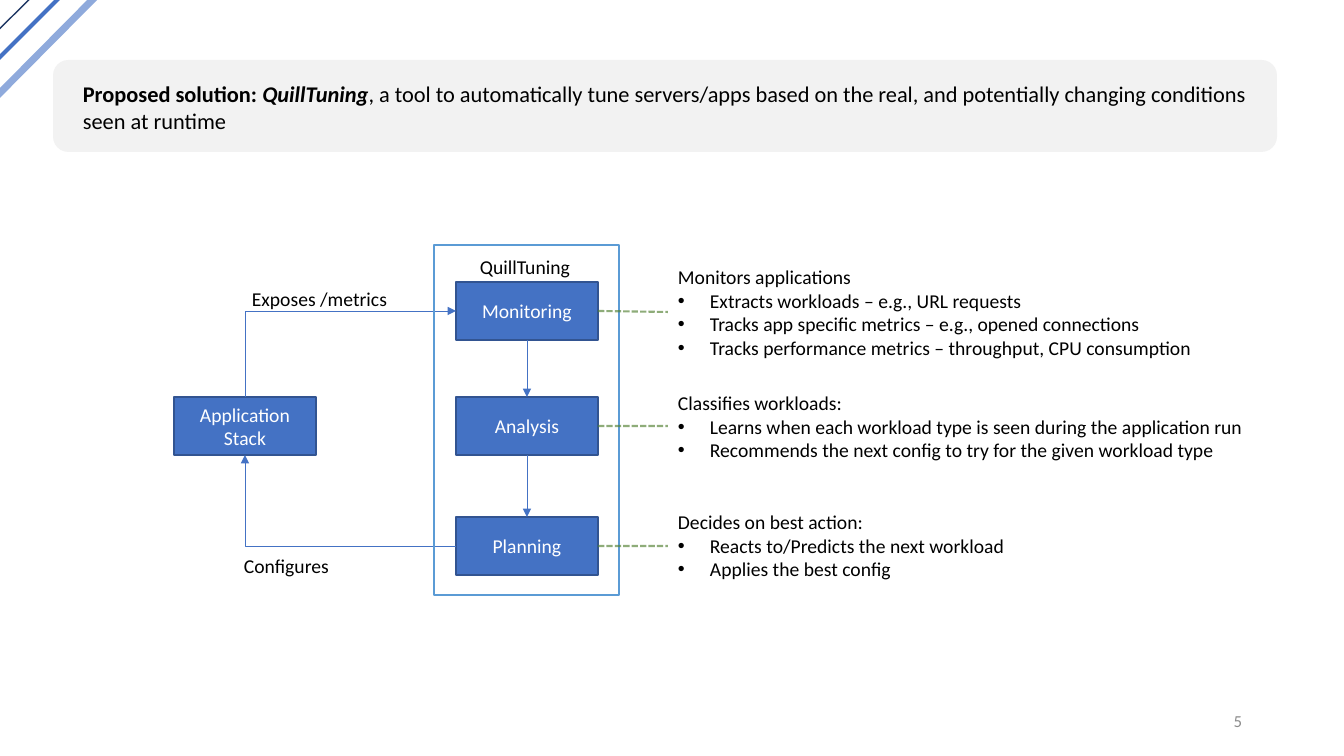
"""Builds the QuillTuning solution slide: a control loop with a note on each stage."""
from lxml import etree
from pptx import Presentation
from pptx import util as u
from pptx.dml.color import RGBColor
from pptx.enum import dml, shapes, text
from pptx.oxml import ns

COLORS = {"navy": "203864", "blue": "4472C4", "pale": "8FAADC", "edge": "325491",
          "frame": "5B9BD5", "panel": "F2F2F2", "green": "548235",
          "black": "000000", "white": "FFFFFF", "gray": "8C8C8C"}
FONT = "Calibri"

STRIPES = [((-25, 53), (52, -23), "navy", 1),
           ((-16, 73), (66, -9), "blue", 3),
           ((-11, 104), (104, -12), "pale", 5)]
TOOL = "QuillTuning"
HEADLINE = [("Proposed solution: ", True, False),
            (TOOL, True, True),
            (", a tool to automatically tune servers/apps based on the real, "
             "and potentially changing conditions seen at runtime", False, False)]
STAGES = [
    ("Monitoring", 282, (668, 260, 573, 105), True,
     ["Monitors applications",
      "Extracts workloads – e.g., URL requests",
      "Tracks app specific metrics – e.g., opened connections",
      "Tracks performance metrics – throughput, CPU consumption"]),
    ("Analysis", 397, (668, 386, 621, 82), True,
     ["Classifies workloads:",
      "Learns when each workload type is seen during the application run",
      "Recommends the next config to try for the given workload type"]),
    ("Planning", 517, (668, 505, 350, 82), False,
     ["Decides on best action:",
      "Reacts to/Predicts the next workload",
      "Applies the best config"]),
]
LABELS = [("Exposes /metrics", (242, 282, 157, 34)),
          (TOOL, (470, 250, 122, 34)),
          ("Configures", (234, 549, 107, 34))]
APP_X, APP_Y, STAGE_X = 174, 397, 456
BOX_W, BOX_H = 142, 58
NOTE_ENDS = [312, 426, 546]
INDENT = 32
BULLET = "•"


def px(n):
    return u.Emu(round(n * 914400 / 100.8))


def rgb(name):
    return RGBColor.from_string(COLORS[name])


def add_block(slide, kind, box, fill=None, line=None):
    sp = slide.shapes.add_shape(kind, *map(px, box))
    sp.shadow.inherit = False
    if fill:
        sp.fill.solid()
        sp.fill.fore_color.rgb = rgb(fill)
    else:
        sp.fill.background()
    if line:
        sp.line.color.rgb = rgb(line)
        sp.line.width = u.Pt(1)
    else:
        sp.line.fill.background()
    return sp


def style(p, size, color, align=text.PP_ALIGN.LEFT):
    p.alignment = align
    p.font.name, p.font.size = FONT, u.Pt(size)
    p.font.color.rgb = rgb(color)


def write(sp, lines, size=14, color="black", align=text.PP_ALIGN.LEFT,
          anchor=text.MSO_ANCHOR.TOP, wrap=True):
    tf = sp.text_frame
    tf.word_wrap, tf.vertical_anchor = wrap, anchor
    tf.text = "\n".join(lines)
    for p in tf.paragraphs:
        style(p, size, color, align)
    return tf


def add_text(slide, box, lines, **options):
    return write(slide.shapes.add_textbox(*map(px, box)), lines, **options)


def add_stage(slide, x, y, lines):
    sp = add_block(slide, shapes.MSO_SHAPE.RECTANGLE, (x, y, BOX_W, BOX_H), "blue", "edge")
    write(sp, lines, color="white", align=text.PP_ALIGN.CENTER, anchor=text.MSO_ANCHOR.MIDDLE)
    return sp


def add_line(slide, start, end, color, width, kind=shapes.MSO_CONNECTOR.STRAIGHT, arrow=False):
    c = slide.shapes.add_connector(kind, *map(px, start + end))
    c.line.color.rgb = rgb(color)
    c.line.width = u.Pt(width)
    if arrow:
        etree.SubElement(c.line._get_or_add_ln(), ns.qn("a:tailEnd"), type="triangle")
    etree.SubElement(c._element.spPr, ns.qn("a:effectLst"))
    return c


def add_elbow(slide, start, end):
    c = add_line(slide, start, end, "blue", 0.5, shapes.MSO_CONNECTOR.ELBOW, arrow=True)
    c._element.spPr.find(ns.qn("a:prstGeom")).set("prst", "bentConnector2")
    return c


def turn_upright(c):
    """Makes the elbow leave its start upwards and then run right."""
    mid_x, mid_y = c.left + c.width // 2, c.top + c.height // 2
    c.width, c.height = c.height, c.width
    c.left, c.top = mid_x - c.width // 2, mid_y - c.height // 2
    xfrm = c._element.spPr.find(ns.qn("a:xfrm"))
    for key, value in (("rot", "5400000"), ("flipH", "1"), ("flipV", "1")):
        xfrm.set(key, value)


def add_bullet(p):
    pPr = p._p.get_or_add_pPr()
    pPr.set("marL", str(px(INDENT)))
    pPr.set("indent", str(-px(INDENT)))
    bullet_font = etree.Element(ns.qn("a:buFont"), typeface="Arial")
    bullet = etree.Element(ns.qn("a:buChar"), char=BULLET)
    pPr.insert(0, bullet_font)
    pPr.insert(1, bullet)


def add_dash(slide, start, end):
    c = add_line(slide, start, end, "green", 1.5)
    c.line.dash_style = dml.MSO_LINE.SQUARE_DOT
    fill = c._element.spPr.find(".//" + ns.qn("a:srgbClr"))
    etree.SubElement(fill, ns.qn("a:alpha"), val="66000")
    c.line._get_or_add_ln().find(ns.qn("a:prstDash")).set("val", "sysDash")
    return c


def main():
    prs = Presentation()
    prs.slide_width, prs.slide_height = px(1344), px(756)
    slide = prs.slides.add_slide(prs.slide_layouts[6])

    for start, end, color, width in STRIPES:
        add_line(slide, start, end, color, width)
    add_text(slide, (950, 701, 302, 40), ["5"], size=12, color="gray",
             align=text.PP_ALIGN.RIGHT, anchor=text.MSO_ANCHOR.MIDDLE)

    add_block(slide, shapes.MSO_SHAPE.ROUNDED_RECTANGLE, (53, 60, 1224, 92), "panel")
    p = add_text(slide, (73, 75, 1205, 64), [""], size=16).paragraphs[0]
    for words, bold, italic in HEADLINE:
        r = p.add_run()
        r.text, r.font.bold, r.font.italic = words, bold, italic

    app = add_stage(slide, APP_X, APP_Y, ["Application", "Stack"])
    stages = [add_stage(slide, STAGE_X, y, [name]) for name, y, *_ in STAGES]

    app_x, stage_x = APP_X + BOX_W // 2, STAGE_X + BOX_W // 2
    middles = [y + BOX_H // 2 for _, y, *_ in STAGES]
    exposes = add_elbow(slide, (app_x, APP_Y), (STAGE_X, middles[0]))
    exposes.begin_connect(app, 0)
    exposes.end_connect(stages[0], 1)
    turn_upright(exposes)
    configures = add_elbow(slide, (STAGE_X, middles[2]), (app_x, APP_Y + BOX_H))
    configures.begin_connect(stages[2], 1)
    configures.end_connect(app, 2)

    for i, (upper, lower) in enumerate(zip(stages, stages[1:])):
        c = add_line(slide, (stage_x, STAGES[i][1] + BOX_H), (stage_x, STAGES[i + 1][1]),
                     "blue", 0.5, arrow=True)
        c.begin_connect(upper, 2)
        c.end_connect(lower, 0)

    add_block(slide, shapes.MSO_SHAPE.RECTANGLE, (434, 245, 185, 350), line="frame")
    for label, box in LABELS:
        add_text(slide, box, [label], wrap=False)

    for stage, middle, note_y, (_, _, box, wrap, lines) in zip(stages, middles, NOTE_ENDS, STAGES):
        for p in add_text(slide, box, lines, wrap=wrap).paragraphs[1:]:
            add_bullet(p)
        c = add_dash(slide, (STAGE_X + BOX_W, middle), (box[0], note_y))
        c.begin_connect(stage, 3)

    prs.save("out.pptx")


if __name__ == "__main__":
    main()
